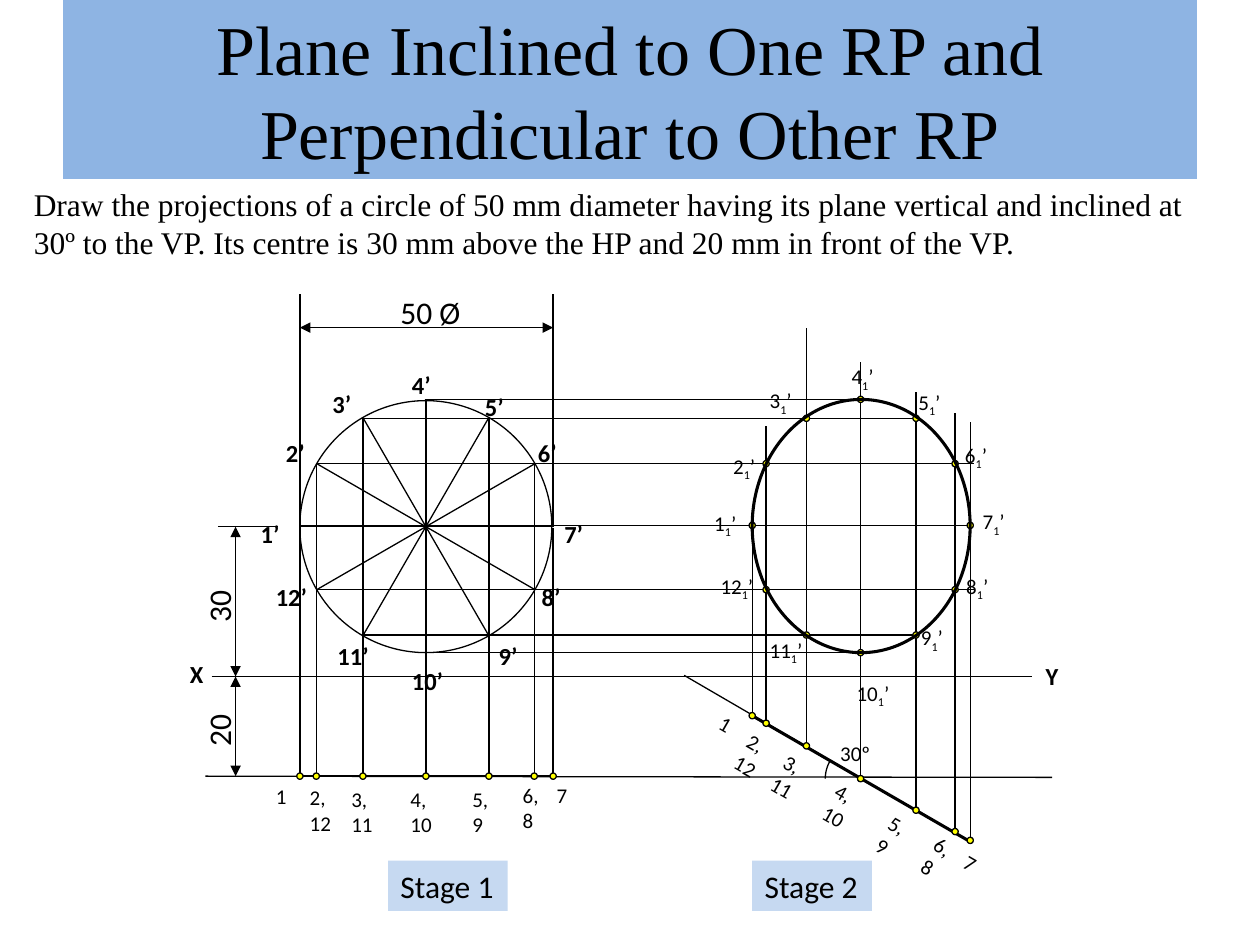
from math import cos, radians, sin

from lxml.etree import SubElement
from pptx import Presentation
from pptx.dml.color import RGBColor
from pptx.enum.shapes import MSO_CONNECTOR, MSO_SHAPE
from pptx.enum.text import MSO_ANCHOR, MSO_AUTO_SIZE, PP_ALIGN
from pptx.oxml.ns import qn
from pptx.util import Inches, Pt

COLORS = {"ink": "000000", "banner": "8EB4E3", "stage": "C6D9F1", "point": "FFFF00"}
SERIF, SANS = "Times New Roman", "Calibri"
THIN, THICK = 0.75, 1.75


class Drawing:
    def __init__(self, slide):
        self.slide = slide
        self.shapes = slide.shapes

    def color(self, name):
        return RGBColor.from_string(COLORS[name])

    def paint(self, shape, fill=None, width=None):
        shape.shadow.inherit = False
        if fill:
            shape.fill.solid()
            shape.fill.fore_color.rgb = self.color(fill)
        else:
            shape.fill.background()
        if width:
            shape.line.color.rgb = self.color("ink")
            shape.line.width = Pt(width)
        else:
            shape.line.fill.background()

    def style(self, paragraph, size, font, bold=False):
        paragraph.font.size = Pt(size)
        paragraph.font.name = font
        paragraph.font.bold = bold
        paragraph.font.color.rgb = self.color("ink")

    def title(self, wording, left, top, width, height):
        banner = self.shapes.title
        banner.left, banner.top = Inches(left), Inches(top)
        banner.width, banner.height = Inches(width), Inches(height)
        banner.fill.solid()
        banner.fill.fore_color.rgb = self.color("banner")
        frame = banner.text_frame
        frame.text = wording
        frame.vertical_anchor = MSO_ANCHOR.MIDDLE
        frame.auto_size = MSO_AUTO_SIZE.NONE
        frame.paragraphs[0].alignment = PP_ALIGN.CENTER
        self.style(frame.paragraphs[0], 40, SERIF)

    def text(self, wording, left, top, width, height, size=12, font=SANS,
             bold=False, turn=0, sub=None, fill=None, wrap=True):
        box = self.shapes.add_textbox(Inches(left), Inches(top), Inches(width), Inches(height))
        box.rotation = turn
        if fill:
            box.fill.solid()
            box.fill.fore_color.rgb = self.color(fill)
        frame = box.text_frame
        frame.word_wrap = wrap
        frame.auto_size = MSO_AUTO_SIZE.SHAPE_TO_FIT_TEXT
        paragraph = frame.paragraphs[0]
        paragraph.add_run().text = wording
        if sub:
            index = paragraph.add_run()
            index.text = sub
            index.font._element.set("baseline", "-25000")
            paragraph.add_run().text = "’"
        self.style(paragraph, size, font, bold)

    def line(self, x1, y1, x2, y2, width=THIN, arrows=False):
        stroke = self.shapes.add_connector(
            MSO_CONNECTOR.STRAIGHT, Inches(x1), Inches(y1), Inches(x2), Inches(y2))
        stroke.line.color.rgb = self.color("ink")
        stroke.line.width = Pt(width)
        if arrows:
            outline = stroke.line._get_or_add_ln()
            for end in ("a:headEnd", "a:tailEnd"):
                SubElement(outline, qn(end)).set("type", "triangle")
        SubElement(stroke._element.spPr, qn("a:effectLst"))

    def shape(self, kind, left, top, width, height, fill=None, stroke=THIN):
        figure = self.shapes.add_shape(
            kind, Inches(left), Inches(top), Inches(width), Inches(height))
        self.paint(figure, fill, stroke)

    def dot(self, x, y, size=0.05):
        self.shape(MSO_SHAPE.OVAL, x - size / 2, y - size / 2, size, size, "point")

    def arc(self, x, y, radius, start, end):
        points = [(Inches(x + radius * cos(radians(a))), Inches(y + radius * sin(radians(a))))
                  for a in range(start, end + 1, 5)]
        builder = self.shapes.build_freeform(*points[0])
        builder.add_line_segments(points[1:], close=False)
        self.paint(builder.convert_to_shape(), width=THIN)


presentation = Presentation()
presentation.slide_width, presentation.slide_height = Inches(10), Inches(7.5)
drawing = Drawing(presentation.slides.add_slide(presentation.slide_layouts[5]))

drawing.title("Plane Inclined to One RP and Perpendicular to Other RP", 0.5, 0, 9, 1.42)
drawing.text("Draw the projections of a circle of 50 mm diameter having its plane vertical "
             "and inclined at 30º to the VP. Its centre is 30 mm above the HP and 20 mm in "
             "front of the VP.", 0.17, 1.42, 9.67, 0.71, 18, SERIF)

XY, PLAN, CENTRE_X, CENTRE_Y = 5.37, 6.16, 3.38, 4.18
COLUMNS = [2.38, 2.51, 2.88, 3.38, 3.88, 4.24, 4.39]
TURNED = [5.97, 6.08, 6.4, 6.83, 7.27, 7.58, 7.7]
ROWS = [3.17, 3.32, 3.68, 4.17, 4.68, 5.04, 5.18]
PLAN_NAMES = ["1", "2, 12", "3, 11", "4, 10", "5, 9", "6, 8", "7"]
PLAN_WIDTHS = [0.29, 0.43, 0.43, 0.43, 0.34, 0.34, 0.29]

drawing.line(1.68, XY, 8.19, XY)
drawing.text("X", 1.41, 5.18, 0.46, 0.33, 14, bold=True)
drawing.text("Y", 8.2, 5.2, 0.3, 0.33, 14, bold=True)

drawing.line(1.73, CENTRE_Y, 2.21, CENTRE_Y)
drawing.line(1.63, PLAN, 8.35, 6.17)
drawing.line(COLUMNS[0], PLAN, COLUMNS[-1], PLAN)
for distance, start, end, top in (("30", CENTRE_Y, XY, 4.58), ("20", XY, PLAN, 5.57)):
    drawing.line(1.87, start, 1.87, end, arrows=True)
    drawing.text(distance, 1.48, top, 0.51, 0.4, 18, turn=270)
for x in (COLUMNS[0], COLUMNS[-1]):
    drawing.line(x, CENTRE_Y, x, 2.33)
drawing.line(COLUMNS[0], 2.6, COLUMNS[-1], 2.6, arrows=True)
drawing.text("50 Ø", 3.08, 2.28, 0.79, 0.4, 18)

drawing.shape(MSO_SHAPE.FLOWCHART_OR, 2.38, 3.18, 2, 2)
for angle in (30, 60, 120, 150):
    dx, dy = cos(radians(angle)), sin(radians(angle))
    drawing.line(CENTRE_X - dx, CENTRE_Y - dy, CENTRE_X + dx, CENTRE_Y + dy)

FRONT_PLACES = [(1.97, 4.07), (2.17, 3.43), (2.54, 3.04), (3.17, 2.89), (3.75, 3.06),
                (4.17, 3.43), (4.38, 4.07), (4.2, 4.57), (3.86, 5.04), (3.17, 5.24),
                (2.58, 5.04), (2.09, 4.57)]
TURNED_PLACES = [(5.57, 4), (5.72, 3.55), (6.01, 3.03), (6.66, 2.84), (7.19, 3.04),
                 (7.56, 3.46), (7.7, 3.99), (7.57, 4.5), (7.21, 4.91), (6.7, 5.35),
                 (6.01, 5.01), (5.62, 4.5)]
for number, (front, turned) in enumerate(zip(FRONT_PLACES, TURNED_PLACES), 1):
    drawing.text(f"{number}’", *front, 0.42 if number < 10 else 0.58, 0.33, 14, bold=True)
    drawing.text(str(number), *turned, 0.49, 0.3, sub="1")

ROW_STARTS = [3.38, 2.89, 2.52, 2.38, 2.51, 2.88, 3.38]
ROW_ENDS = [6.86, 7.3, 7.73, 7.73, 7.73, 7.29, 6.86]
for y, start, end in zip(ROWS, ROW_STARTS, ROW_ENDS):
    drawing.line(start, y, end, y)

drawing.line(7.68, 6.67, 5.43, 5.36)
drawing.line(TURNED[0], 5.68, TURNED[-1], 6.68, THICK)
drawing.arc(6.83, 6.18, 0.28, 180, 210)
drawing.text("30º", 6.57, 5.83, 0.48, 0.3)

COLUMN_TOPS = [4.18, 3.68, 3.32, 3.17, 3.31, 3.68, 4.19]
TURNED_TOPS = [4.09, 3.38, 2.6, 2.87, 3.11, 3.28, 3.35]
TURNED_PLAN = [5.68, 5.74, 5.92, 6.18, 6.43, 6.6, 6.67]
for x, top, turned_x, turned_top, turned_y in zip(
        COLUMNS, COLUMN_TOPS, TURNED, TURNED_TOPS, TURNED_PLAN):
    drawing.line(x, top, x, PLAN)
    drawing.line(turned_x, turned_y, turned_x, turned_top)
    drawing.dot(x, PLAN)
    drawing.dot(turned_x, turned_y)

PLAN_PLACES = [(2.09, 6.17), (2.36, 6.18), (2.69, 6.19), (3.16, 6.19),
               (3.65, 6.19), (4.05, 6.16), (4.32, 6.16)]
EDGE_PLACES = [(5.62, 5.6), (5.78, 5.76), (6.07, 5.93), (6.48, 6.16),
               (6.91, 6.39), (7.27, 6.56), (7.56, 6.7)]
for name, width, plan, edge in zip(PLAN_NAMES, PLAN_WIDTHS, PLAN_PLACES, EDGE_PLACES):
    height = 0.5 if "," in name else 0.3
    drawing.text(name, *plan, width, height)
    drawing.text(name, *edge, width, height, turn=30)

for index, x in enumerate(TURNED):
    for row in sorted({3 - index if index < 4 else index - 3,
                       3 + index if index < 4 else 9 - index}):
        drawing.dot(x, ROWS[row])
drawing.shape(MSO_SHAPE.OVAL, 5.97, 3.17, 1.73, 2.01, stroke=THICK)

for stage, left in (("Stage 1", 3.08), ("Stage 2", 5.97)):
    drawing.text(stage, left, 6.83, 0.95, 0.4, 18, fill="stage", wrap=False)

presentation.save("out.pptx")
